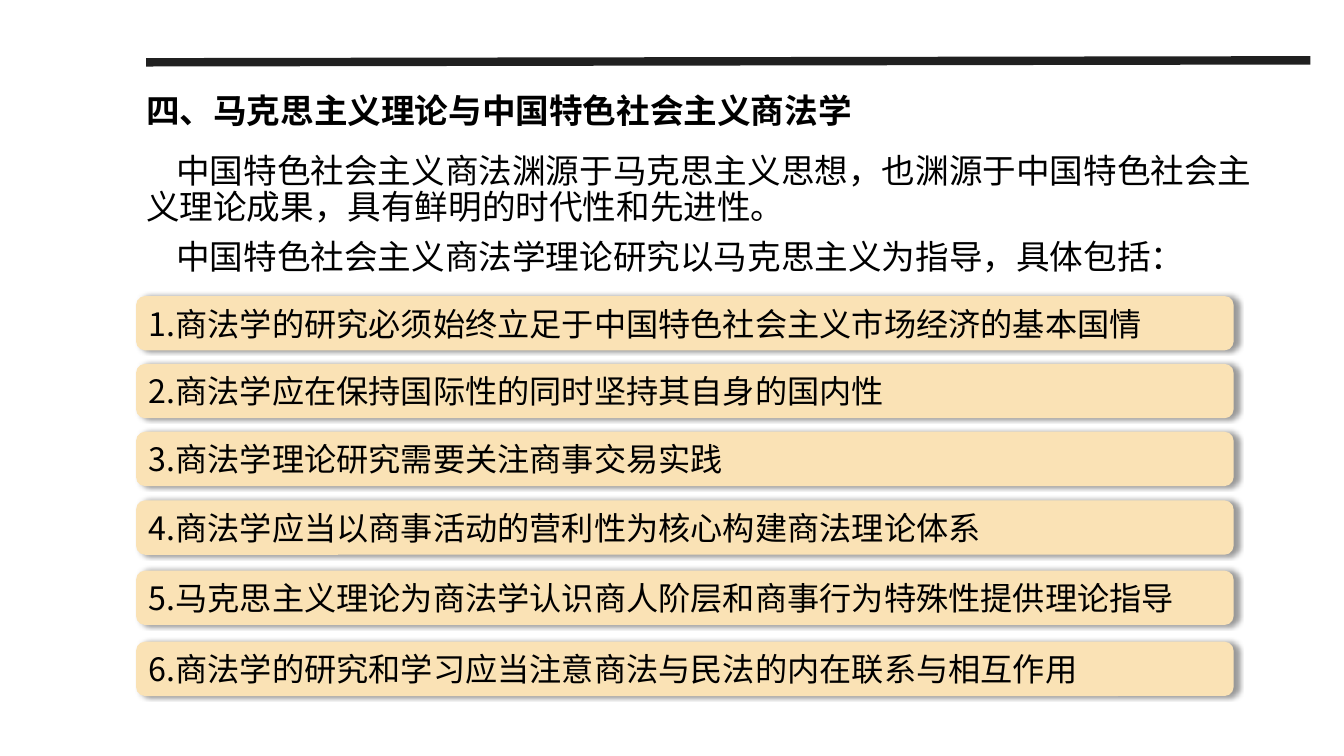
from dataclasses import dataclass

from lxml import etree
from pptx import Presentation
from pptx.dml.color import RGBColor
from pptx.enum.shapes import MSO_CONNECTOR, MSO_SHAPE
from pptx.enum.text import MSO_ANCHOR, MSO_AUTO_SIZE, PP_ALIGN
from pptx.oxml.ns import qn
from pptx.util import Cm, Pt

ROUNDED = MSO_SHAPE.ROUNDED_RECTANGLE
STRAIGHT = MSO_CONNECTOR.STRAIGHT
LEFT = PP_ALIGN.LEFT
TOP = MSO_ANCHOR.TOP
MIDDLE = MSO_ANCHOR.MIDDLE
FIXED = MSO_AUTO_SIZE.NONE


@dataclass(frozen=True)
class Theme:
    font: str = "Noto Sans CJK SC"
    ink: str = "000000"
    rule: str = "202020"
    card: str = "FAE2B5"
    shadow: str = "000000"
    text_size: int = 24
    card_size: int = 23


THEME = Theme()
MARGIN = Cm(3.43)
LINE_SPACING = 0.9
TITLE = "四、马克思主义理论与中国特色社会主义商法学"
INTRODUCTION = [
    "中国特色社会主义商法渊源于马克思主义思想，也渊源于中国特色社会主义理论成果，具有鲜明的时代性和先进性。",
    "中国特色社会主义商法学理论研究以马克思主义为指导，具体包括：",
]
PRINCIPLES = [
    (7.46, "商法学的研究必须始终立足于中国特色社会主义市场经济的基本国情"),
    (9.17, "商法学应在保持国际性的同时坚持其自身的国内性"),
    (10.88, "商法学理论研究需要关注商事交易实践"),
    (12.61, "商法学应当以商事活动的营利性为核心构建商法理论体系"),
    (14.38, "马克思主义理论为商法学认识商人阶层和商事行为特殊性提供理论指导"),
    (16.17, "商法学的研究和学习应当注意商法与民法的内在联系与相互作用"),
]


def place(shape, left, top, width, height):
    shape.left, shape.top, shape.width, shape.height = left, top, width, height


def set_frame(frame, anchor):
    frame.word_wrap = True
    frame.auto_size = FIXED
    frame.vertical_anchor = anchor


def style_paragraph(para, size, bold=False):
    para.alignment = LEFT
    para.font.name = THEME.font
    para.font.size = Pt(size)
    para.font.bold = bold
    para.font.color.rgb = RGBColor.from_string(THEME.ink)
    for span in para.runs:
        properties = span._r.get_or_add_rPr()
        etree.SubElement(properties, qn("a:ea"), typeface=THEME.font)


def indent_first_line(para, indent):
    properties = para._p.get_or_add_pPr()
    properties.set("marL", "0")
    properties.set("indent", str(indent))
    etree.SubElement(properties, qn("a:buNone"))


def add_shadow(shape):
    effects = etree.SubElement(shape._element.spPr, qn("a:effectLst"))
    shadow = etree.SubElement(
        effects, qn("a:outerShdw"), blurRad=str(Pt(4)), dist=str(Pt(3)), dir="0"
    )
    color = etree.SubElement(shadow, qn("a:srgbClr"), val=THEME.shadow)
    etree.SubElement(color, qn("a:alpha"), val="40000")


def add_rule(page):
    rule = page.shapes.add_connector(STRAIGHT, Cm(3.68), Cm(1.57), Cm(33.02), Cm(1.52))
    rule.line.color.rgb = RGBColor.from_string(THEME.rule)
    rule.line.width = Pt(6)
    etree.SubElement(rule._element.spPr, qn("a:effectLst"))


def fill_title(title):
    place(title, MARGIN, Cm(0.39), Cm(30.58), Cm(4.88))
    set_frame(title.text_frame, MIDDLE)
    title.text_frame.text = TITLE
    para = title.text_frame.paragraphs[0]
    para.line_spacing = LINE_SPACING
    style_paragraph(para, THEME.text_size, bold=True)


def fill_introduction(body):
    place(body, MARGIN, Cm(3.76), Cm(29.08), Cm(3.43))
    frame = body.text_frame
    set_frame(frame, TOP)
    frame.text = "\n".join(INTRODUCTION)
    for index, para in enumerate(frame.paragraphs):
        indent_first_line(para, Cm(0.76))
        para.line_spacing = LINE_SPACING
        para.space_before = Pt(10 if index else 0)
        style_paragraph(para, THEME.text_size)


def add_card(page, top, text):
    card = page.shapes.add_shape(ROUNDED, MARGIN, top, Cm(27.66), Cm(1.37))
    card.fill.solid()
    card.fill.fore_color.rgb = RGBColor.from_string(THEME.card)
    card.line.fill.background()
    add_shadow(card)
    set_frame(card.text_frame, MIDDLE)
    card.text_frame.text = text
    style_paragraph(card.text_frame.paragraphs[0], THEME.card_size)


def main():
    deck = Presentation()
    deck.slide_width, deck.slide_height = Cm(33.87), Cm(19.05)
    page = deck.slides.add_slide(deck.slide_layouts[1])
    add_rule(page)
    fill_title(page.shapes.title)
    fill_introduction(page.placeholders[1])
    for number, (top, text) in enumerate(PRINCIPLES, start=1):
        add_card(page, Cm(top), f"{number}.{text}")
    deck.save("out.pptx")


if __name__ == "__main__":
    main()
